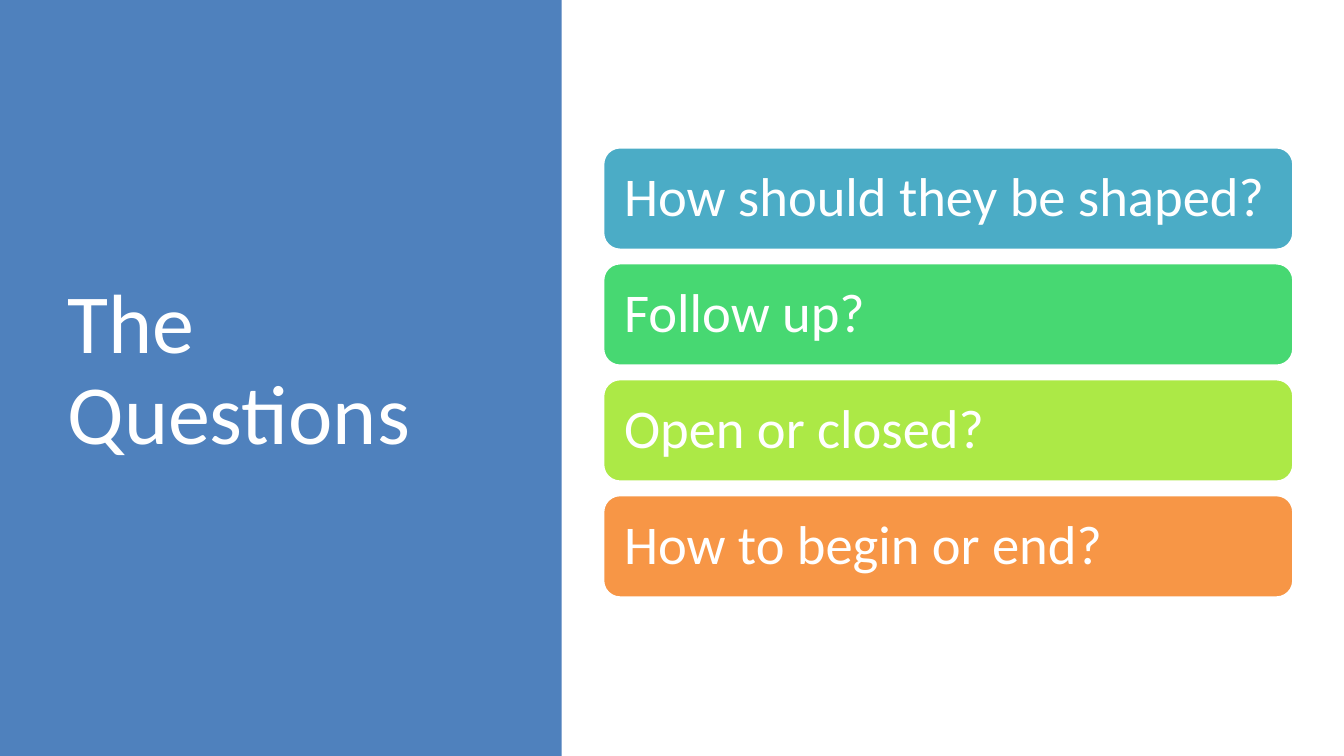
from dataclasses import dataclass

import pptx
import pptx.dml.color
import pptx.enum.shapes
import pptx.enum.text
import pptx.util
from pptx.enum.shapes import MSO_SHAPE
from pptx.enum.text import MSO_ANCHOR, MSO_AUTO_SIZE, PP_ALIGN

EMU_PER_PX = 9144  # 100 px to the inch
FONT = "Calibri"
WHITE = "FFFFFF"
BLUE = "4F81BD"

BAR_LEFT, BAR_TOP = 598, 146
BAR_WIDTH, BAR_HEIGHT = 685, 102
BAR_PITCH = 115
BAR_MARGIN = 16


@dataclass(frozen=True)
class Question:
    text: str
    color: str


QUESTIONS = [
    Question("How should they be shaped?", "4BACC6"),
    Question("Follow up?", "47D872"),
    Question("Open or closed?", "ACE946"),
    Question("How to begin or end?", "F79646"),
]


def px(n: int) -> pptx.util.Emu:
    return pptx.util.Emu(n * EMU_PER_PX)


def rgb(value: str) -> pptx.dml.color.RGBColor:
    return pptx.dml.color.RGBColor.from_string(value)


def add_box(s, kind: MSO_SHAPE, x: int, y: int, w: int, h: int, color: str):
    sp = s.shapes.add_shape(kind, px(x), px(y), px(w), px(h))
    sp.shadow.inherit = False
    sp.fill.solid()
    sp.fill.fore_color.rgb = rgb(color)
    return sp


def set_text(sp, text: str, size: int) -> None:
    tf = sp.text_frame
    tf.text = text
    tf.word_wrap = True
    tf.auto_size = MSO_AUTO_SIZE.NONE
    tf.vertical_anchor = MSO_ANCHOR.MIDDLE
    p = tf.paragraphs[0]
    p.alignment = PP_ALIGN.LEFT
    p.line_spacing = 0.9
    p.font.name = FONT
    p.font.size = pptx.util.Pt(size)
    p.font.color.rgb = rgb(WHITE)


def add_title(s, text: str) -> None:
    title = s.shapes.title
    title.left, title.top, title.width, title.height = map(px, (57, 68, 416, 602))
    set_text(title, text, 60)


def add_panel(s) -> None:
    panel = add_box(s, MSO_SHAPE.RECTANGLE, 0, 0, 557, 750, BLUE)
    panel.line.fill.background()
    # Keep the panel behind the title
    s.shapes.title.element.addprevious(panel.element)


def add_question(s, row: int, question: Question) -> None:
    top = BAR_TOP + row * BAR_PITCH
    bar = add_box(s, MSO_SHAPE.ROUNDED_RECTANGLE, BAR_LEFT, top,
                  BAR_WIDTH, BAR_HEIGHT, question.color)
    bar.line.color.rgb = rgb(WHITE)
    bar.line.width = pptx.util.Pt(2)
    set_text(bar, question.text, 39)
    tf = bar.text_frame
    tf.margin_left = tf.margin_right = px(BAR_MARGIN)
    tf.margin_top = tf.margin_bottom = px(BAR_MARGIN)


def main() -> None:
    prs = pptx.Presentation()
    prs.slide_width, prs.slide_height = px(1333), px(750)
    s = prs.slides.add_slide(prs.slide_layouts.get_by_name("Title Only"))

    # Left panel with the title
    add_title(s, "The Questions")
    add_panel(s)

    # Stacked question bars
    for row, question in enumerate(QUESTIONS):
        add_question(s, row, question)

    prs.save("out.pptx")


if __name__ == "__main__":
    main()
